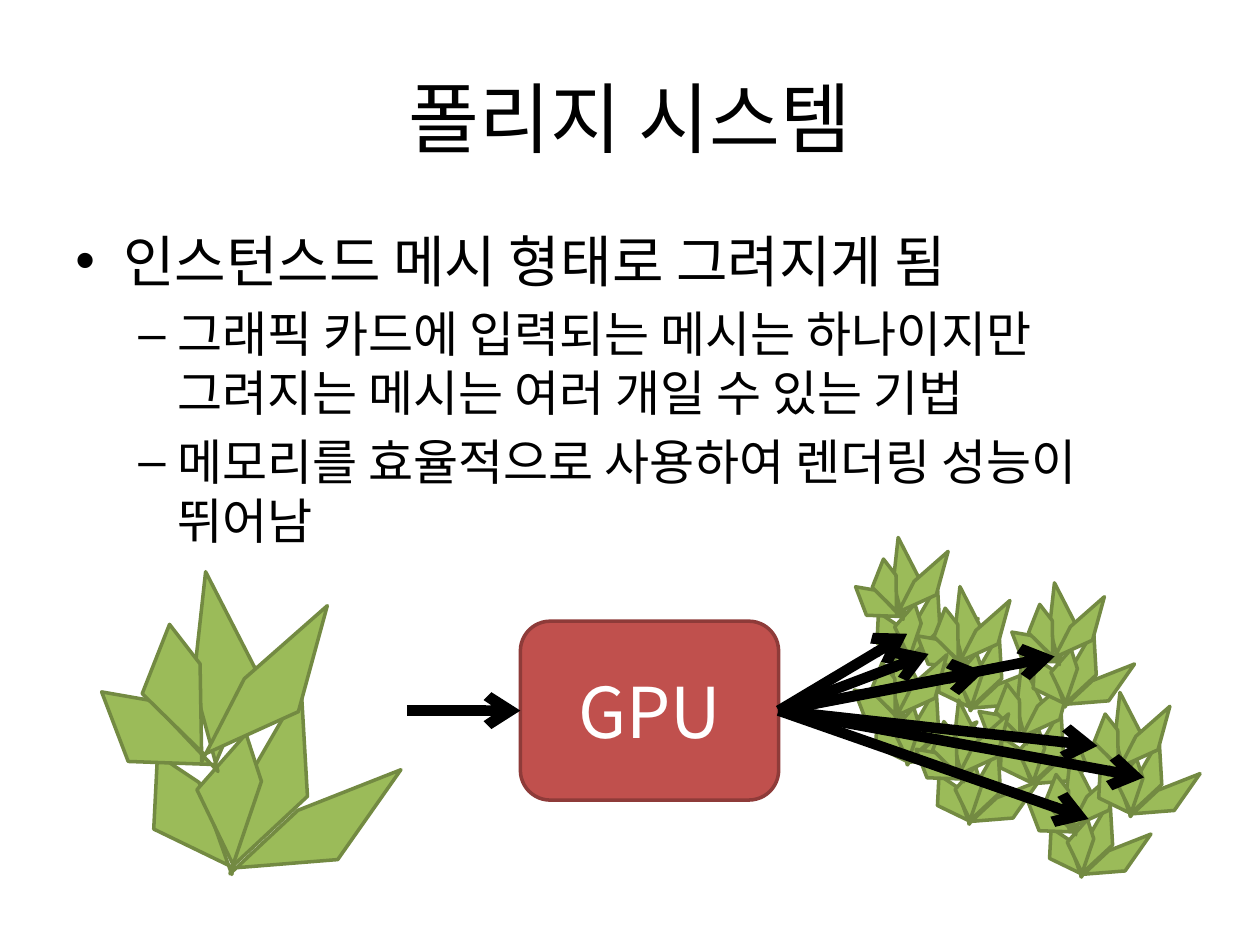
"""Build the foliage system slide."""
from dataclasses import dataclass

from lxml.etree import SubElement
from pptx import Presentation
from pptx.dml.color import RGBColor
from pptx.enum.shapes import MSO_CONNECTOR, MSO_SHAPE
from pptx.enum.text import MSO_ANCHOR, PP_ALIGN
from pptx.oxml.ns import qn
from pptx.util import Inches, Pt


@dataclass(frozen=True)
class Theme:
    """Hold the fonts, colours and sizes of the slide."""
    font: str = "Noto Sans CJK KR"
    mark: str = "Arial"
    ink: str = "000000"
    white: str = "FFFFFF"
    leaf: str = "9BBB59"
    stem: str = "738A42"
    box: str = "C0504D"
    edge: str = "8E3B39"
    title: float = 44
    label: float = 40
    head: float = 32
    item: float = 28
    line: float = 2
    arrow: float = 6


THEME = Theme()
LEAF = [(0.62, 1.43), (0, 1.13), (0.03, 0.54), (0.36, 0.76),
        (0.62, 1.49), (0.73, 0.76), (1.17, 0), (1.22, 0.87)]
PLANT = [(0, 0, 0), (0.45, 0.15, 38.4), (-0.41, -0.75, 336.2), (0, -0.86, 18.6)]
COPIES = [(6.96, 4.64), (7.45, 5.03), (6.95, 5.46), (7.94, 5.63),
          (7.44, 5.93), (8.2, 5), (8.33, 6.35), (8.72, 5.87)]
SCALE = 0.41
MESH = (1.22, 5.45)
ENTRY = (4.13, 5.64)
EXIT = (6.18, 5.64)
TIPS = [(7.2, 5.03), (7.37, 5.19), (7.81, 5.33), (8.37, 5.21),
        (8.71, 5.92), (8.64, 6.5), (9.08, 6.17)]
POINTS = [
    (0, "인스턴스드 메시 형태로 그려지게 됨"),
    (1, "그래픽 카드에 입력되는 메시는 하나이지만 그려지는 메시는 여러 개일 수 있는 기법"),
    (1, "메모리를 효율적으로 사용하여 렌더링 성능이 뛰어남"),
]
LEVELS = [("•", 0.38, -0.38, THEME.head), ("–", 0.81, -0.31, THEME.item)]


def style(para, size, color):
    """Format every run of a paragraph."""
    for run in para.runs:
        run.font.size = Pt(size)
        run.font.color.rgb = RGBColor.from_string(color)
        run.font.name = THEME.font
        SubElement(run.font._element, qn("a:ea"), typeface=THEME.font)


def paint(shape, fill, line):
    """Give a shape its fill and outline."""
    shape.shadow.inherit = False
    shape.fill.solid()
    shape.fill.fore_color.rgb = RGBColor.from_string(fill)
    shape.line.color.rgb = RGBColor.from_string(line)
    shape.line.width = Pt(THEME.line)


def center(shape, text, size, color):
    """Write one line in the middle of a shape."""
    frame = shape.text_frame
    frame.word_wrap = True
    frame.vertical_anchor = MSO_ANCHOR.MIDDLE
    frame.text = text
    frame.paragraphs[0].alignment = PP_ALIGN.CENTER
    style(frame.paragraphs[0], size, color)


def add_title(slide, text):
    """Add the slide title."""
    box = slide.shapes.add_textbox(Inches(0.5), Inches(0.3), Inches(9), Inches(1.25))
    center(box, text, THEME.title, THEME.ink)


def add_list(slide, points):
    """Add the bullet list."""
    box = slide.shapes.add_textbox(Inches(0.5), Inches(1.75), Inches(9), Inches(4.95))
    frame = box.text_frame
    frame.word_wrap = True
    for i, (level, text) in enumerate(points):
        para = frame.add_paragraph() if i else frame.paragraphs[0]
        mark, left, hang, size = LEVELS[level]
        para.text = text
        para.level = level
        para.space_before = Pt(size * 0.2)
        style(para, size, THEME.ink)
        props = para._p.get_or_add_pPr()
        props.set("marL", str(Inches(left)))
        props.set("indent", str(Inches(hang)))
        SubElement(props, qn("a:buFont"), typeface=THEME.mark)
        SubElement(props, qn("a:buChar"), char=mark)


def add_box(slide, text):
    """Add the rounded processor box."""
    box = slide.shapes.add_shape(MSO_SHAPE.ROUNDED_RECTANGLE, Inches(4.13),
                                 Inches(4.93), Inches(2.05), Inches(1.42))
    paint(box, THEME.box, THEME.edge)
    center(box, text, THEME.label, THEME.white)


def add_plant(slide, x, y, scale=1):
    """Add a plant as a group of four turned leaves."""
    group = slide.shapes.add_group_shape()
    for dx, dy, angle in PLANT:
        dots = [(Inches(x + (dx + px) * scale), Inches(y + (dy + py) * scale))
                for px, py in LEAF]
        pen = group.shapes.build_freeform(*dots[0])
        pen.add_line_segments(dots[1:], close=True)
        leaf = pen.convert_to_shape()
        leaf.rotation = angle
        paint(leaf, THEME.leaf, THEME.stem)


def add_arrow(slide, start, end):
    """Add a thick arrow between two points."""
    ends = [Inches(v) for v in (*start, *end)]
    arrow = slide.shapes.add_connector(MSO_CONNECTOR.STRAIGHT, *ends)
    arrow.line.color.rgb = RGBColor.from_string(THEME.ink)
    arrow.line.width = Pt(THEME.arrow)
    SubElement(arrow.line._get_or_add_ln(), qn("a:tailEnd"), type="arrow")
    SubElement(arrow._element.spPr, qn("a:effectLst"))


def main():
    """Build and save the deck."""
    deck = Presentation()
    deck.slide_width, deck.slide_height = Inches(10), Inches(7.5)
    slide = deck.slides.add_slide(deck.slide_layouts[6])
    add_title(slide, "폴리지 시스템")
    add_list(slide, POINTS)
    add_box(slide, "GPU")
    add_plant(slide, *MESH)
    add_arrow(slide, (3.23, 5.64), ENTRY)
    for x, y in COPIES:
        add_plant(slide, x, y, SCALE)
    for tip in TIPS:
        add_arrow(slide, EXIT, tip)
    deck.save("out.pptx")


if __name__ == "__main__":
    main()
